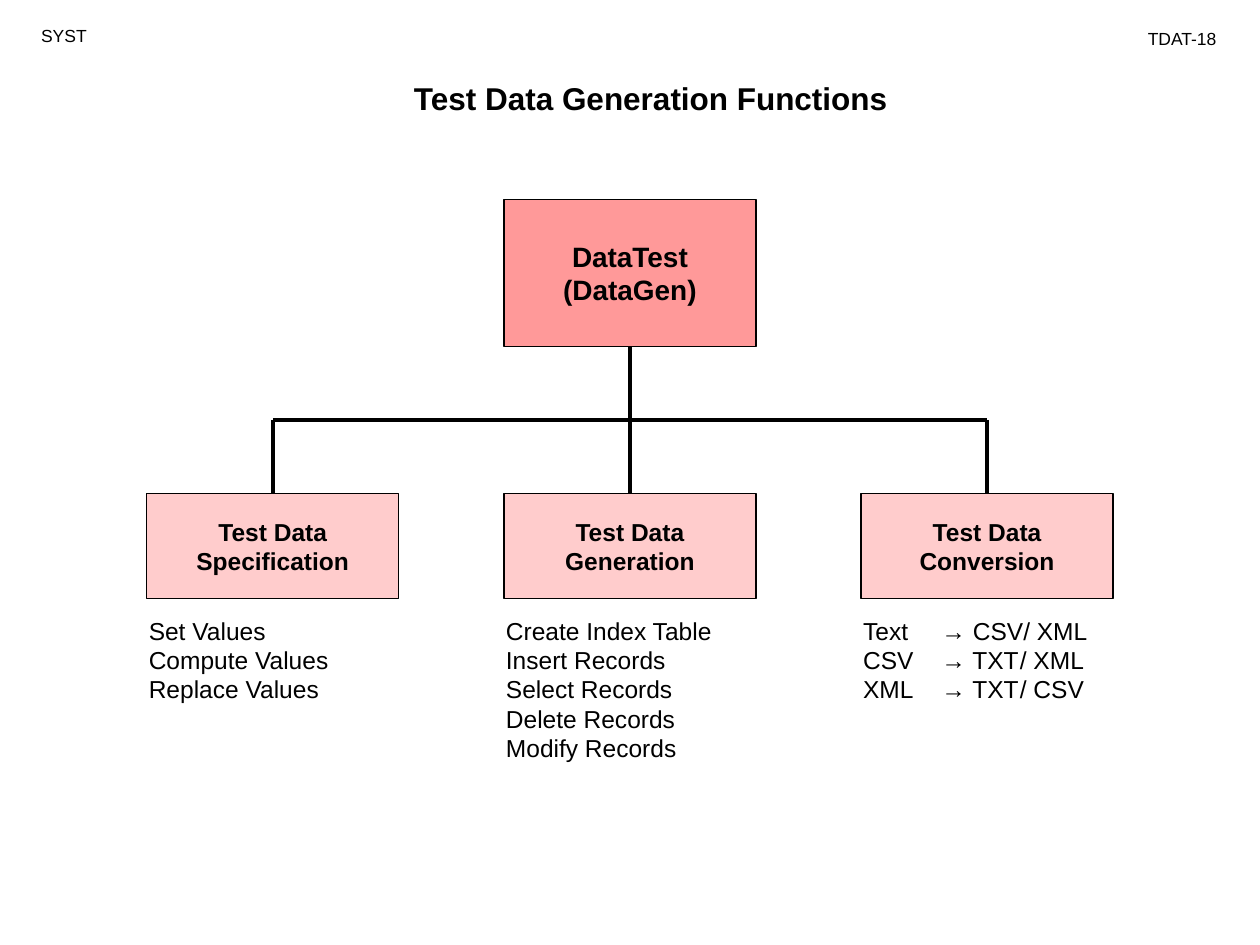
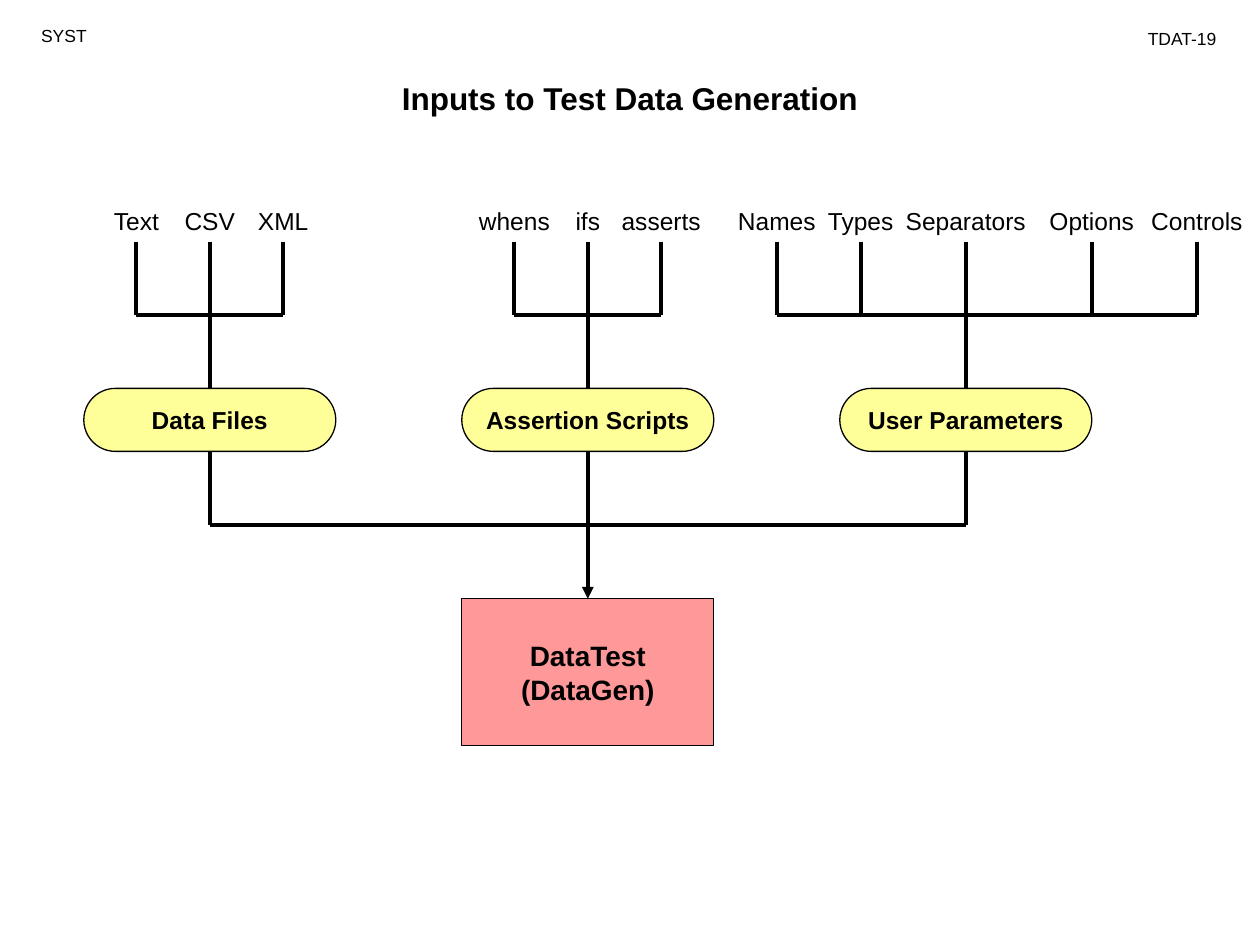
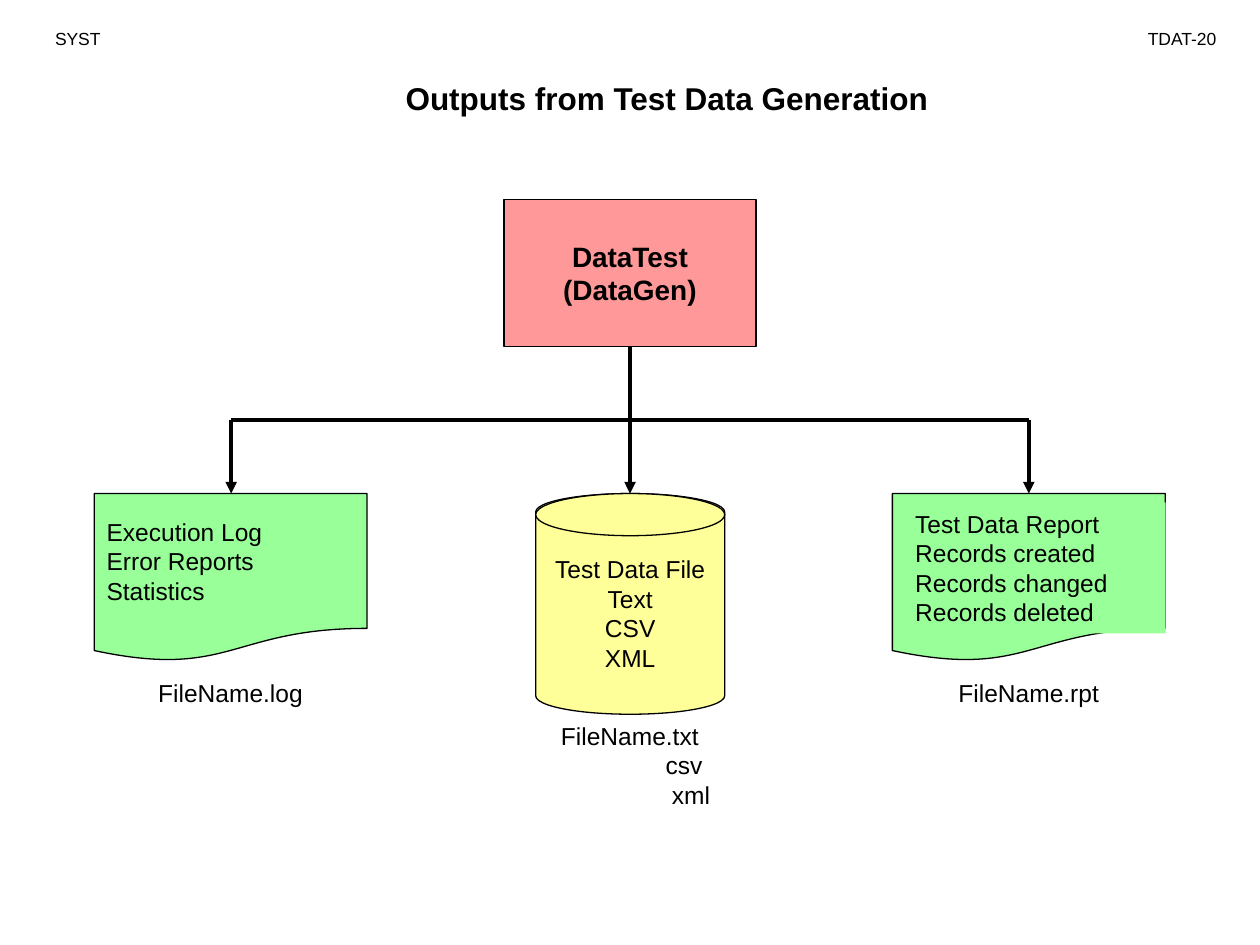
from lxml import etree
from pptx import Presentation
from pptx import util as u
from pptx.dml.color import RGBColor
from pptx.enum import shapes, text
from pptx.oxml.ns import qn

BLACK = RGBColor(0x00, 0x00, 0x00)
ROSE = RGBColor(0xFF, 0x99, 0x99)
PALE_ROSE = RGBColor(0xFF, 0xCC, 0xCC)
YELLOW = RGBColor(0xFF, 0xFF, 0x99)
GREEN = RGBColor(0x99, 0xFF, 0x99)
FONT = "Arial"
LEFT, CENTER, RIGHT = text.PP_ALIGN.LEFT, text.PP_ALIGN.CENTER, text.PP_ALIGN.RIGHT
TOP, MIDDLE = text.MSO_ANCHOR.TOP, text.MSO_ANCHOR.MIDDLE
KIND = shapes.MSO_SHAPE
TAB_STEP = 1.58
BOX_WIDTH = 5.08
MODULE_HEIGHT = 2.96


def cm(box):
    """Turn a box of centimetre values into lengths."""
    return [u.Cm(value) for value in box]


def write(frame, lines, size=14, bold=False, align=LEFT, anchor=TOP, wrap=True, tabs=0, indents=()):
    """Fill a text frame with one paragraph per line."""
    frame.word_wrap = wrap
    frame.auto_size = text.MSO_AUTO_SIZE.NONE
    frame.vertical_anchor = anchor
    frame.margin_left = frame.margin_right = u.Cm(0.25)
    frame.margin_top = frame.margin_bottom = u.Cm(0.13)
    for index, line in enumerate(lines):
        paragraph = frame.paragraphs[0] if index == 0 else frame.add_paragraph()
        paragraph.text = line
        paragraph.alignment = align
        properties = paragraph._p.get_or_add_pPr()
        if indents:
            properties.set("marL", str(u.Cm(indents[index])))
        if tabs:
            stops = etree.SubElement(properties, qn("a:tabLst"))
            for stop in range(1, tabs + 1):
                etree.SubElement(stops, qn("a:tab"), pos=str(u.Cm(stop * TAB_STEP)), algn="l")
        font = paragraph.font
        font.name, font.size, font.bold = FONT, u.Pt(size), bold
        font.color.rgb = BLACK


def label(slide, box, lines, **style):
    """Add plain text in a box."""
    write(slide.shapes.add_textbox(*cm(box)).text_frame, lines, **style)


def block(tree, kind, box, fill, lines=(), outlined=True, **style):
    """Add a filled shape with its text."""
    shape = tree.add_shape(kind, *cm(box))
    shape.shadow.inherit = False
    shape.fill.solid()
    shape.fill.fore_color.rgb = fill
    if outlined:
        shape.line.color.rgb = BLACK
        shape.line.width = u.Pt(0.75)
    else:
        shape.line.fill.background()
    write(shape.text_frame, lines, **style)
    return shape


def named_block(slide, kind, box, fill, lines, size=14):
    """Add a shape with a bold centred name."""
    return block(slide.shapes, kind, box, fill, lines, size=size, bold=True,
                 align=CENTER, anchor=MIDDLE, wrap=False)


def module(slide, left, top):
    """Add the box of the generator itself."""
    named_block(slide, KIND.RECTANGLE, (left, top, BOX_WIDTH, MODULE_HEIGHT), ROSE,
                ["DataTest", "(DataGen)"], size=16)


def line(slide, start, end, arrow=False):
    """Draw a thick black line, with an arrowhead if asked."""
    connector = slide.shapes.add_connector(shapes.MSO_CONNECTOR.STRAIGHT, *cm(start + end))
    connector.line.color.rgb = BLACK
    connector.line.width = u.Pt(2.25)
    properties = connector._element.spPr
    if arrow:
        etree.SubElement(properties.find(qn("a:ln")), qn("a:tailEnd"), type="triangle")
    etree.SubElement(properties, qn("a:effectLst"))


def comb(slide, xs, trunk, top, bottom, spreads=True, arrows=False):
    """Join a trunk to branches that spread below or gather above a midway bus."""
    bus = (top + bottom) / 2
    for x in xs:
        start = bus if spreads and x != trunk else top
        end = bottom if spreads or x == trunk else bus
        line(slide, (x, start), (x, end), arrows and end == bottom)
    line(slide, (xs[0], bus), (xs[-1], bus))


def titled_slide(deck, title, title_box, number, mark_at=(0.58, 0.38)):
    """Add a slide with its title, course mark and page number."""
    slide = deck.slides.add_slide(deck.slide_layouts[5])
    heading = slide.shapes.title
    heading.left, heading.top, heading.width, heading.height = cm(title_box)
    write(heading.text_frame, [title], size=18, bold=True, align=CENTER)
    label(slide, (*mark_at, 1.5, 0.69), ["SYST"], size=10)
    label(slide, (21.59, 0.43, 3.18, 0.69), [f"TDAT-{number}"], size=10, align=RIGHT)
    return slide


def function_column(slide, left, top, name, tasks, tabs=0):
    """Add a function box with its tasks listed below."""
    named_block(slide, KIND.RECTANGLE, (left, top, BOX_WIDTH, 2.12), PALE_ROSE, ["Test Data", name])
    label(slide, (left - 0.21, top + 2.33, 5.6, 3.23), tasks, tabs=tabs)


def functions_slide(deck):
    """Show the three functions of test data generation."""
    slide = titled_slide(deck, "Test Data Generation Functions", (6.35, 1.47, 13.54, 1.02), 18)
    columns = [
        ("Specification", ["Set Values", "Compute Values", "Replace Values"], 0),
        ("Generation", ["Create Index Table", "Insert Records", "Select Records",
                        "Delete Records", "Modify Records"], 0),
        ("Conversion", ["Text\t→ CSV/ XML", "CSV\t→ TXT\t/ XML", "XML\t→ TXT\t/ CSV"], 7),
    ]
    lefts = [2.96 + 7.2 * index for index in range(len(columns))]
    centres = [left + BOX_WIDTH / 2 for left in lefts]
    module(slide, lefts[1], 4.02)
    comb(slide, centres, centres[1], 6.98, 9.95)
    for left, (name, tasks, tabs) in zip(lefts, columns):
        function_column(slide, left, 9.95, name, tasks, tabs)


def input_group(slide, left, top, name, sources):
    """Add an input with the sources that feed it from above."""
    centre = left + BOX_WIDTH / 2
    pill = named_block(slide, KIND.ROUNDED_RECTANGLE, (left, top + 3.81, BOX_WIDTH, 1.27), YELLOW, [name])
    pill.adjustments[0] = 0.5
    comb(slide, [centre + offset for _, offset, _ in sources], centre, top + 0.85, top + 3.81, spreads=False)
    for source, offset, width in sources:
        label(slide, (centre + offset - width / 2, top, width, 0.86), [source], align=CENTER, wrap=False)


def inputs_slide(deck):
    """Show what flows into the generator."""
    slide = titled_slide(deck, "Inputs to Test Data Generation", (6.35, 1.47, 12.7, 1.02), 19)
    groups = [
        ("Data Files", [("Text", -1.48, 1.69), ("CSV", 0, 1.69), ("XML", 1.48, 1.69)]),
        ("Assertion Scripts", [("whens", -1.48, 2.12), ("ifs", 0, 2.12), ("asserts", 1.48, 2.12)]),
        ("User Parameters", [("Names", -3.81, 2.12), ("Types", -2.12, 2.12), ("Separators", 0, 2.96),
                             ("Options", 2.54, 2.33), ("Controls", 4.66, 2.54)]),
    ]
    lefts = [1.69 + 7.62 * index for index in range(len(groups))]
    centres = [left + BOX_WIDTH / 2 for left in lefts]
    for left, (name, sources) in zip(lefts, groups):
        input_group(slide, left, 4.02, name, sources)
    comb(slide, centres, centres[1], 9.1, 12.07, spreads=False, arrows=True)
    module(slide, lefts[1], 12.07)


def document(slide, left, top, file_name, lines=()):
    """Add a document shape with its file name below."""
    block(slide.shapes, KIND.FLOWCHART_DOCUMENT, (left, top, 5.5, 3.39), GREEN, lines,
          anchor=MIDDLE, wrap=False)
    label(slide, (left, top + 3.58, 5.5, 0.86), [file_name], align=CENTER)


def data_file(slide, left, top):
    """Add the test data drum with its possible file names."""
    drum = slide.shapes.add_group_shape().shapes
    can = block(drum, KIND.CAN, (left, top, 3.81, 4.45), YELLOW, ["Test Data File", "Text", "CSV", "XML"],
                align=CENTER, anchor=MIDDLE, wrap=False)
    can.adjustments[0] = 0.195
    block(drum, KIND.OVAL, (left, top, 3.81, 0.85), YELLOW)
    label(slide, (left - 0.85, top + 4.45, 5.5, 2.03), ["FileName.txt", "csv", "xml"],
          align=CENTER, indents=(0, 2.18, 2.46))


def outputs_slide(deck):
    """Show what the generator produces."""
    slide = titled_slide(deck, "Outputs from Test Data Generation", (5.93, 1.47, 15.03, 1.02), 20, (0.86, 0.43))
    module(slide, 10.16, 4.02)
    document(slide, 1.9, 9.95, "FileName.log", ["Execution Log", "Error Reports", "Statistics"])
    document(slide, 17.99, 9.95, "FileName.rpt")
    block(slide.shapes, KIND.RECTANGLE, (18.2, 10.13, 5.3, 2.64), GREEN,
          ["Test Data Report", "Records created", "Records changed", "Records deleted"], outlined=False)
    comb(slide, [4.66, 12.7, 20.74], 12.7, 6.98, 9.95, arrows=True)
    data_file(slide, 10.8, 9.95)


def main():
    """Build and save the deck."""
    deck = Presentation()
    deck.slide_width, deck.slide_height = u.Cm(25.4), u.Cm(19.05)
    functions_slide(deck)
    inputs_slide(deck)
    outputs_slide(deck)
    deck.save("out.pptx")


if __name__ == "__main__":
    main()
